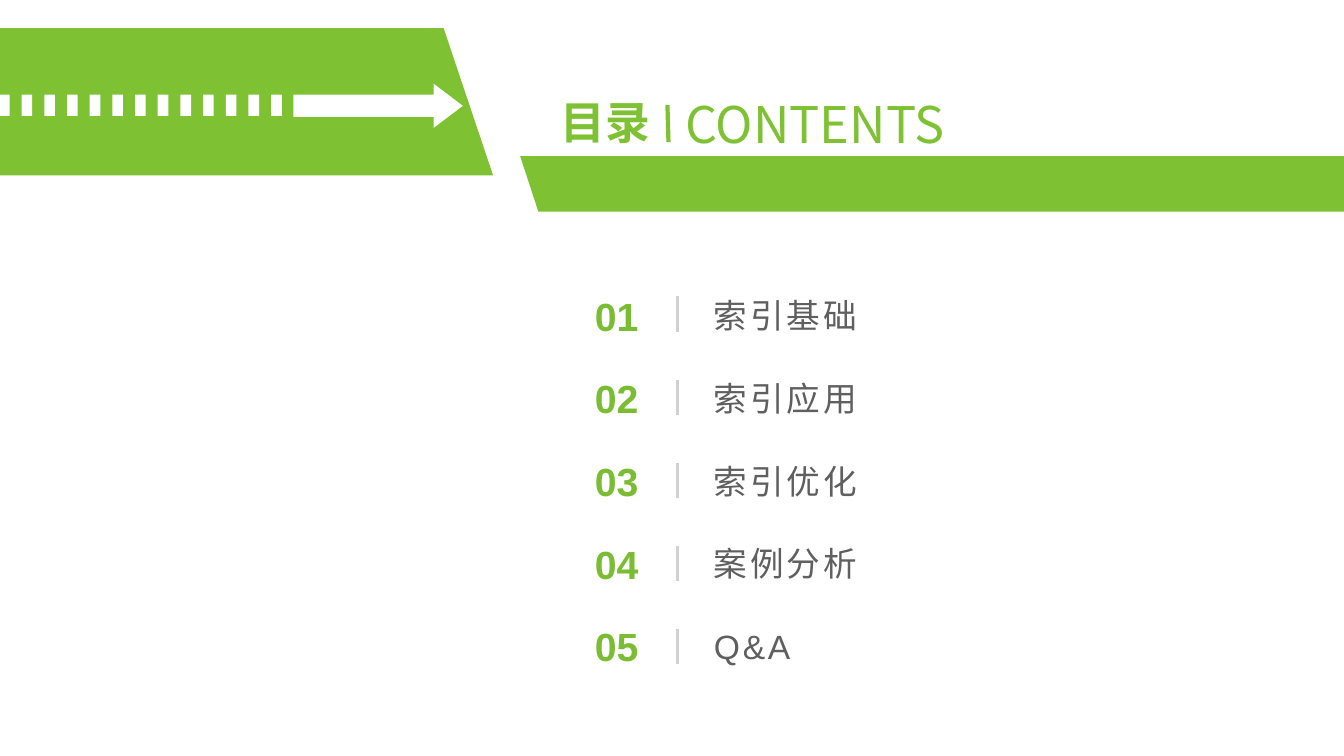
import pptx
import pptx.dml.color
import pptx.enum.shapes
import pptx.enum.text
import pptx.oxml
import pptx.util

Inches = pptx.util.Inches
Pt = pptx.util.Pt
ALIGN = pptx.enum.text.PP_ALIGN
ANCHOR = pptx.enum.text.MSO_ANCHOR

TITLE = "目录"
SUBTITLE = "CONTENTS"
TOPICS = ["索引基础", "索引应用", "索引优化", "案例分析", "Q&A"]

GREEN, NUMBER_GREEN, GREY, DIVIDER, WHITE = "7EC234", "7ABC32", "5F5F5F", "D1D1D1", "FFFFFF"
LATIN, CHINESE = "Arial", "Noto Sans CJK SC"

ROW_TOP, ROW_PITCH, ROW_HEIGHT = 2.83, 0.82, 0.6
DIVIDER_TOP, DIVIDER_PITCH, DIVIDER_HEIGHT = 2.94, 0.825, 0.35
DASH_COUNT, DASH_LEFT, DASH_PITCH, DASH_WIDTH = 13, -0.01, 0.225, 0.105

TOP_BAND = [(0, 0.28), (4.4, 0.28), (4.89, 1.74), (0, 1.74)]
TITLE_BAND = [(5.16, 1.55), (13.33, 1.55), (13.33, 2.1), (5.34, 2.1)]
ARROW = [(4.3, 0.83), (4.59, 1.05), (4.3, 1.27), (4.3, 1.16),
         (2.91, 1.16), (2.91, 0.94), (4.3, 0.94)]


def color(hex_string):
    return pptx.dml.color.RGBColor.from_string(hex_string)


def place(shape, left, top, width, height):
    shape.left, shape.top = Inches(left), Inches(top)
    shape.width, shape.height = Inches(width), Inches(height)


def set_text(shape, *lines, size, fill, font=LATIN, bold=False, align=ALIGN.LEFT,
             anchor=ANCHOR.TOP, inset=True, tracking=0, line_pitch=None):
    """Fill a shape with one unbulleted paragraph per line."""
    frame = shape.text_frame
    frame.word_wrap = True
    frame.auto_size = pptx.enum.text.MSO_AUTO_SIZE.NONE
    frame.vertical_anchor = anchor
    frame.margin_left = frame.margin_right = Inches(0.1 if inset else 0)
    frame.margin_top = frame.margin_bottom = Inches(0.05 if inset else 0)
    frame.text = "\n".join(lines)
    for paragraph in frame.paragraphs:
        paragraph.alignment = align
        paragraph.space_before = paragraph.space_after = Pt(0)
        if line_pitch:
            paragraph.line_spacing = Pt(line_pitch * 72)
        properties = paragraph._p.get_or_add_pPr()
        properties.set("marL", "0")
        properties.set("indent", "0")
        properties.append(pptx.oxml.parse_xml(
            '<a:buNone xmlns:a="http://schemas.openxmlformats.org/drawingml/2006/main"/>'))
        run = paragraph.runs[0]
        run.font.name, run.font.size, run.font.bold = font, Pt(size), bold
        run.font.color.rgb = color(fill)
        run_properties = run._r.get_or_add_rPr()
        if tracking:
            run_properties.set("spc", str(tracking * 100))
        run_properties.append(pptx.oxml.parse_xml(
            '<a:ea xmlns:a="http://schemas.openxmlformats.org/drawingml/2006/main" '
            f'typeface="{CHINESE}"/>'))


def add_text(slide, text, box, **text_format):
    shape = slide.shapes.add_textbox(*map(Inches, box))
    set_text(shape, text, **text_format)


def add_outline(slide, contours, fill):
    """Draw closed contours, given in inches, as one filled shape."""
    builder = None
    for contour in contours:
        points = [(Inches(x), Inches(y)) for x, y in contour]
        if builder is None:
            builder = slide.shapes.build_freeform(*points[0])
        else:
            builder.move_to(*points[0])
        builder.add_line_segments(points[1:], close=True)
    shape = builder.convert_to_shape()
    shape.shadow.inherit = False
    shape.fill.solid()
    shape.fill.fore_color.rgb = color(fill)
    shape.line.fill.background()


def add_line(slide, start, end, stroke, width):
    line = slide.shapes.add_connector(
        pptx.enum.shapes.MSO_CONNECTOR.STRAIGHT, *map(Inches, start + end))
    line.line.color.rgb = color(stroke)
    line.line.width = Pt(width)
    line._element.spPr.append(pptx.oxml.parse_xml(
        '<a:effectLst xmlns:a="http://schemas.openxmlformats.org/drawingml/2006/main"/>'))


def add_heading(slide):
    add_outline(slide, [TITLE_BAND], GREEN)
    title = slide.shapes.title
    place(title, 5.08, 0.89, 1.47, 0.64)
    set_text(title, TITLE, size=32, fill=GREEN, font=CHINESE, bold=True, align=ALIGN.RIGHT)
    add_line(slide, (6.62, 1.04), (6.63, 1.41), GREEN, 3)
    add_text(slide, SUBTITLE, (6.7, 0.87, 3.66, 0.71), size=36, fill=GREEN, font=CHINESE)


def add_arrow_band(slide):
    add_outline(slide, [TOP_BAND], GREEN)
    dashes = []
    for index in range(DASH_COUNT):
        left = DASH_LEFT + index * DASH_PITCH
        right = left + DASH_WIDTH
        dashes.append([(left, 0.94), (right, 0.94), (right, 1.15), (left, 1.15)])
    add_outline(slide, dashes + [ARROW], WHITE)


def add_topics(slide):
    body = slide.placeholders[1]
    place(body, 7.08, 2.51, 4.76, ROW_PITCH * len(TOPICS))
    set_text(body, *TOPICS, size=24, fill=GREY, inset=False, tracking=2,
             line_pitch=ROW_PITCH)
    for index in range(len(TOPICS)):
        add_text(slide, f"{index + 1:02}",
                 (5.78, ROW_TOP + index * ROW_PITCH, 0.67, ROW_HEIGHT),
                 size=28, fill=NUMBER_GREEN, bold=True, align=ALIGN.CENTER,
                 anchor=ANCHOR.MIDDLE, inset=False)
        top = DIVIDER_TOP + index * DIVIDER_PITCH
        add_line(slide, (6.72, top), (6.72, top + DIVIDER_HEIGHT), DIVIDER, 2)


def main():
    presentation = pptx.Presentation()
    presentation.slide_width, presentation.slide_height = Inches(13.33), Inches(7.5)
    slide = presentation.slides.add_slide(presentation.slide_layouts[1])
    add_topics(slide)
    add_heading(slide)
    add_arrow_band(slide)
    presentation.save("out.pptx")


if __name__ == "__main__":
    main()
